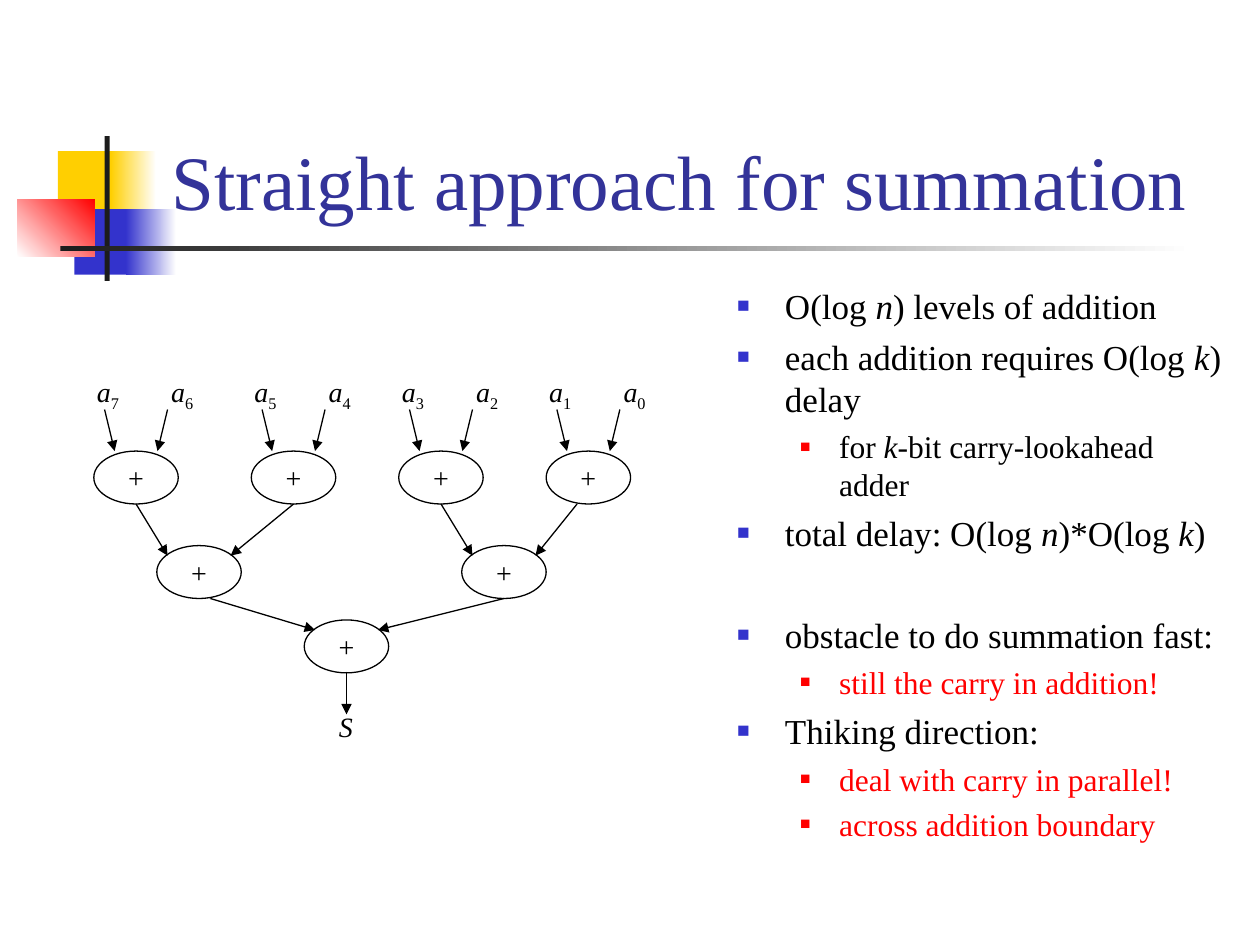
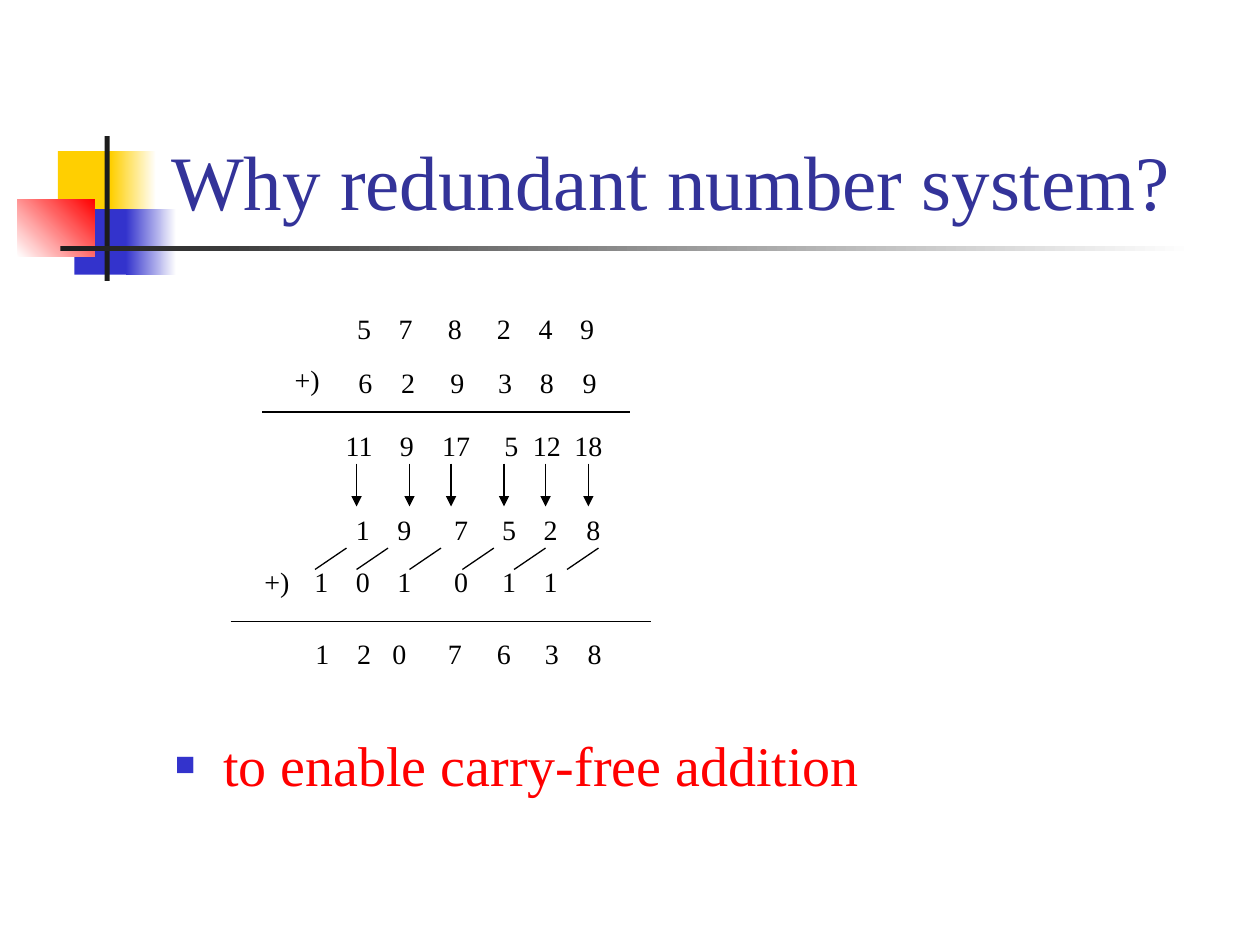
from lxml import etree
from pptx import Presentation
from pptx.dml.color import RGBColor
from pptx.enum.shapes import MSO_CONNECTOR, MSO_SHAPE
from pptx.enum.text import MSO_ANCHOR, MSO_AUTO_SIZE, PP_ALIGN
from pptx.oxml.ns import qn
from pptx.util import Inches, Pt

RECTANGLE, OVAL = MSO_SHAPE.RECTANGLE, MSO_SHAPE.OVAL
STRAIGHT = MSO_CONNECTOR.STRAIGHT
TOP, MIDDLE, BOTTOM = MSO_ANCHOR.TOP, MSO_ANCHOR.MIDDLE, MSO_ANCHOR.BOTTOM
LEFT, CENTER = PP_ALIGN.LEFT, PP_ALIGN.CENTER
FIXED = MSO_AUTO_SIZE.NONE

FONT = "Times New Roman"
COLORS = {
    "title": "333399", "text": "000000", "red": "FF0000", "blue": "3333CC",
    "yellow": "FFCF01", "dark": "1C1C1C", "white": "FFFFFF",
}

# Decoration: box, fill colours (two make a gradient), gradient angle
DECORATION = [
    ((0.46, 1.2, 0.48, 0.52), ["yellow"], 0),
    ((0.88, 1.2, 0.36, 0.52), ["yellow", "white"], 0),
    ((0.59, 1.66, 0.46, 0.52), ["blue"], 0),
    ((1, 1.66, 0.4, 0.52), ["blue", "white"], 0),
    ((0.14, 1.58, 0.61, 0.46), ["white", "red"], 45),
    ((0.83, 1.08, 0.04, 1.15), ["dark"], 0),
    ((0.48, 1.95, 9, 0.04), ["dark", "white"], 0),
]
TITLE_BOX = (1.26, 0.24, 8.52, 1.6)

# Bullet levels: left margin, hanging indent, bullet colour, bullet size in %
LEVELS = [(0.38, 0.38, "blue", 60), (0.81, 0.31, "red", 55)]

# Slide 1 list: level, size, colour, space before, spans (every second is italic)
SUMMATION_TITLE = "Straight approach for summation"
SUMMATION_BOX = (5.75, 2.21, 4.08, 4.71)
SUMMATION_POINTS = [
    (0, 20, "text", 0, ["O(log ", "n", ") levels of addition"]),
    (0, 20, "text", 5, ["each addition requires O(log ", "k", ") delay"]),
    (1, 18, "text", 4.5, ["for ", "k", "-bit carry-lookahead adder"]),
    (0, 20, "text", 5, ["total delay: O(log ", "n", ")*O(log ", "k", ")"]),
    (0, 20, "text", 34, ["obstacle to do summation fast:"]),
    (1, 18, "red", 4.5, ["still the carry in addition!"]),
    (0, 20, "text", 5, ["Thiking direction:"]),
    (1, 18, "red", 4.5, ["deal with carry in parallel!"]),
    (1, 18, "red", 4.5, ["across addition boundary"]),
]

# Adder tree: centre x of each adder, top of each row
ADDER_SIZE = (0.67, 0.42)
LEAF_CENTERS, LEAF_TOP = [1.08, 2.33, 3.5, 4.67], 3.58
PAIR_CENTERS, PAIR_TOP = [1.58, 4.0], 4.33
ROOT_CENTER, ROOT_TOP = 2.75, 4.92
# Arrows between rows: start x of the left and right child, parent centre, parent top
TREE_LINKS = [
    (1.08, 2.33, 1.58, PAIR_TOP),
    (3.5, 4.58, 4.0, PAIR_TOP),
    (1.67, 4.0, ROOT_CENTER, ROOT_TOP),
]

# Slide 2: digit rows as top, digits and the centre x of each digit
REDUNDANT_TITLE = "Why redundant number system?"
REDUNDANT_BOX = (1.29, 5.75, 8.5, 0.96)
REDUNDANT_POINTS = [(0, 32, "red", 0, ["to enable carry-free addition"])]
DIGIT_ROWS = [
    (2.42, "5 7 8 2 4 9", [2.89, 3.22, 3.61, 4.0, 4.33, 4.66]),
    (2.85, "6 2 9 3 8 9", [2.9, 3.24, 3.63, 4.01, 4.34, 4.68]),
    (3.35, "11 9 17 5 12 18", [2.85, 3.23, 3.62, 4.06, 4.34, 4.67]),
    (4.02, "1 9 7 5 2 8", [2.88, 3.21, 3.66, 4.04, 4.37, 4.71]),
    (4.43, "1 0 1 0 1 1", [2.55, 2.88, 3.21, 3.66, 4.04, 4.37]),
    (5.0, "1 2 0 7 6 3 8", [2.56, 2.89, 3.17, 3.61, 4.0, 4.38, 4.72]),
]
ROW_LEFT, ROW_WIDTH = 2.3, 2.8
PLUS_SIGNS = [(2.24, 2.83), (2, 4.43)]
SUM_LINES = [(2.08, 5, 3.27), (1.83, 5.17, 4.93)]
DIGIT_ARROWS = [2.83, 3.25, 3.58, 4, 4.33, 4.67]
CARRY_STROKES = [2.75, 3.08, 3.5, 3.92, 4.33, 4.75]


def color(name):
    return RGBColor.from_string(COLORS[name])


def inches(values):
    return [Inches(value) for value in values]


def add_span(para, text, size, color_name="text", italic=False, subscript=False):
    span = para.add_run()
    span.text = text
    font = span.font
    font.name, font.size, font.italic = FONT, Pt(size), italic
    font.color.rgb = color(color_name)
    if subscript:
        span._r.get_or_add_rPr().set("baseline", "-25000")


def add_child(parent, tag, **attributes):
    child = etree.SubElement(parent, qn(tag))
    for name, value in attributes.items():
        child.set(name, str(value))
    return child


def set_bullet(para, level):
    margin, hanging, bullet_color, percent = LEVELS[level]
    properties = para._p.get_or_add_pPr()
    properties.set("marL", str(Inches(margin)))
    properties.set("indent", str(-Inches(hanging)))
    add_child(add_child(properties, "a:buClr"), "a:srgbClr", val=COLORS[bullet_color])
    add_child(properties, "a:buSzPct", val=percent * 1000)
    add_child(properties, "a:buFont", typeface=FONT)
    add_child(properties, "a:buChar", char="■")


def place(shape, box):
    shape.left, shape.top, shape.width, shape.height = inches(box)


def add_page(deck, title, body_box, points):
    page = deck.slides.add_slide(deck.slide_layouts[1])
    heading, body = page.placeholders[0], page.placeholders[1]
    for holder, box, anchor in ((heading, TITLE_BOX, BOTTOM), (body, body_box, TOP)):
        place(holder, box)
        holder.text_frame.auto_size = FIXED
        holder.text_frame.vertical_anchor = anchor
    heading_para = heading.text_frame.paragraphs[0]
    heading_para.alignment = LEFT
    add_span(heading_para, title, 44, "title")
    frame = body.text_frame
    for index, (level, size, color_name, before, spans) in enumerate(points):
        para = frame.add_paragraph() if index else frame.paragraphs[0]
        para.level = level
        set_bullet(para, level)
        para.space_before = Pt(before)
        for order, text in enumerate(spans):
            add_span(para, text, size, color_name, italic=order % 2 == 1)
    return page


def move_decoration_to_layout(page):
    """Draw the coloured blocks once, on the layout both slides share."""
    tree = page.slide_layout.shapes.element
    for index, (box, fills, angle) in enumerate(DECORATION):
        block = page.shapes.add_shape(RECTANGLE, *inches(box))
        block.shadow.inherit = False
        block.line.fill.background()
        if len(fills) == 1:
            block.fill.solid()
            block.fill.fore_color.rgb = color(fills[0])
        else:
            block.fill.gradient()
            block.fill.gradient_angle = angle
            for stop, name in zip(block.fill.gradient_stops, fills):
                stop.color.rgb = color(name)
        tree.insert(2 + index, block.element)


def add_line(page, start, end, arrow=False):
    line = page.shapes.add_connector(STRAIGHT, *inches((*start, *end)))
    line.line.color.rgb = color("text")
    line.line.width = Pt(0.75)
    properties = line.element.spPr
    if arrow:
        add_child(properties.find(qn("a:ln")), "a:tailEnd", type="triangle")
    add_child(properties, "a:effectLst")


def add_label(page, box, text, italic=False, subscript=""):
    label = page.shapes.add_textbox(*inches(box))
    frame = label.text_frame
    frame.word_wrap = False
    frame.margin_right = 0  # leaves room for the subscript on the same line
    para = frame.paragraphs[0]
    add_span(para, text, 16, italic=italic)
    if subscript:
        add_span(para, subscript, 16, subscript=True)


def add_adder(page, center, top):
    width, height = ADDER_SIZE
    adder = page.shapes.add_shape(OVAL, *inches((center - width / 2, top, width, height)))
    adder.shadow.inherit = False
    adder.fill.background()
    adder.line.color.rgb = color("text")
    adder.line.width = Pt(0.75)
    frame = adder.text_frame
    frame.word_wrap = False
    frame.vertical_anchor = MIDDLE
    frame.paragraphs[0].alignment = CENTER
    add_span(frame.paragraphs[0], "+", 16)


def draw_adder_tree(page):
    # Adders
    rows = [(LEAF_CENTERS, LEAF_TOP), (PAIR_CENTERS, PAIR_TOP), ([ROOT_CENTER], ROOT_TOP)]
    for centers, top in rows:
        for center in centers:
            add_adder(page, center, top)
    # Operands with their arrows
    for index, center in enumerate(LEAF_CENTERS):
        for side, label_shift, number in ((-1, -0.41, 7 - 2 * index), (1, 0.18, 6 - 2 * index)):
            add_label(page, (center + label_shift, 2.92, 0.42, 0.41), "a", True, str(number))
            add_line(page, (center + side * 0.25, 3.25), (center + side * 0.17, LEAF_TOP), True)
    # Arrows from each row to the next
    for left, right, parent, top in TREE_LINKS:
        start_y = (LEAF_TOP if top == PAIR_TOP else PAIR_TOP) + ADDER_SIZE[1]
        for start_x, side in ((left, -1), (right, 1)):
            add_line(page, (start_x, start_y), (parent + side * 0.25, top + 0.08), True)
    # Result
    add_line(page, (ROOT_CENTER, 5.33), (ROOT_CENTER, 5.67), True)
    add_label(page, (2.59, 5.58, 0.31, 0.37), "S", True)


def add_digit_row(page, top, digits, centers):
    row = page.shapes.add_textbox(*inches((ROW_LEFT, top, ROW_WIDTH, 0.37)))
    row.text_frame.word_wrap = True
    row.text_frame.margin_left = 0
    para = row.text_frame.paragraphs[0]
    tabs = add_child(para._p.get_or_add_pPr(), "a:tabLst")
    for center in centers:
        add_child(tabs, "a:tab", pos=Inches(center - ROW_LEFT), algn="ctr")
    for digit in digits.split():
        add_span(para, "\t" + digit, 16)


def draw_addition(page):
    for top, digits, centers in DIGIT_ROWS:
        add_digit_row(page, top, digits, centers)
    for left, top in PLUS_SIGNS:
        add_label(page, (left, top, 0.4, 0.37), "+)")
    for left, right, y in SUM_LINES:
        add_line(page, (left, y), (right, y))
    for x in DIGIT_ARROWS:
        add_line(page, (x, 3.68), (x, 4.02), True)
    for x in CARRY_STROKES:
        add_line(page, (x, 4.35), (x - 0.25, 4.52))


def main():
    deck = Presentation()
    deck.slide_width, deck.slide_height = Inches(10), Inches(7.5)
    summation = add_page(deck, SUMMATION_TITLE, SUMMATION_BOX, SUMMATION_POINTS)
    move_decoration_to_layout(summation)
    draw_adder_tree(summation)
    redundant = add_page(deck, REDUNDANT_TITLE, REDUNDANT_BOX, REDUNDANT_POINTS)
    draw_addition(redundant)
    deck.save("out.pptx")


if __name__ == "__main__":
    main()
